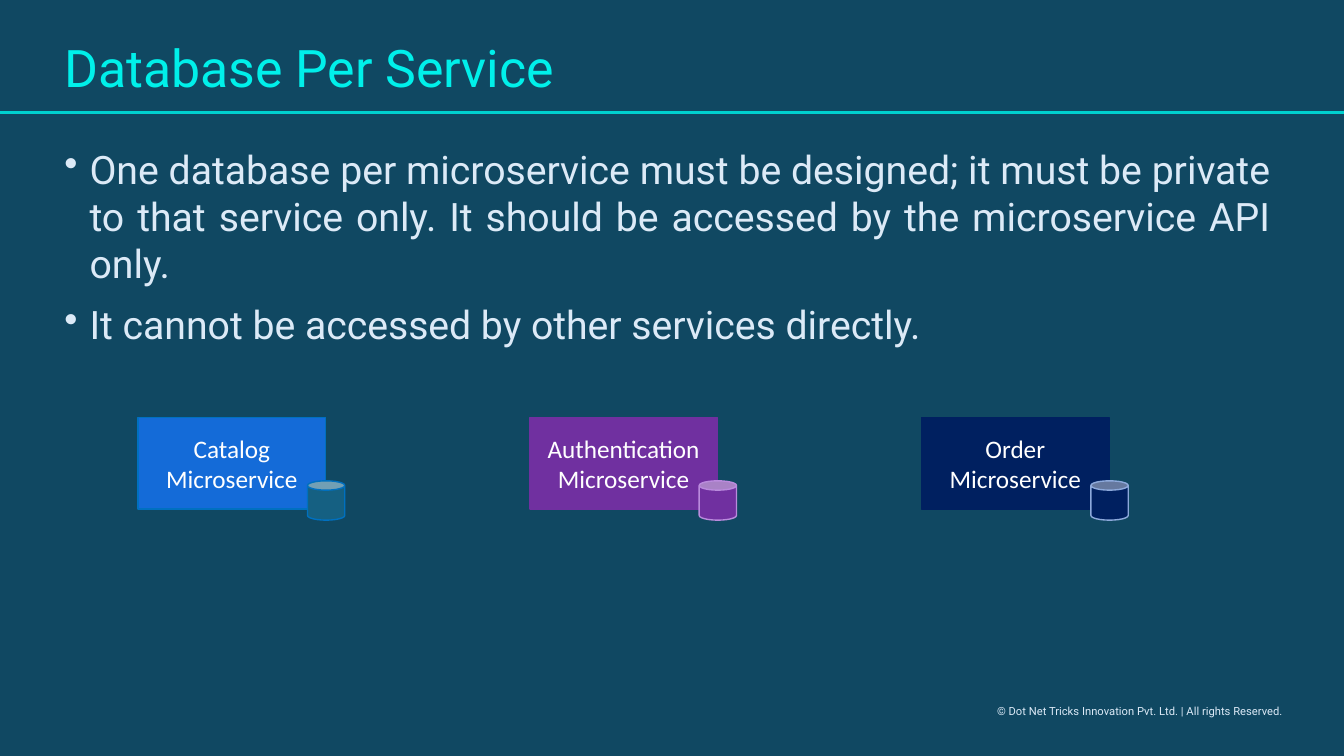
import pptx
import pptx.util
import pptx.dml.color
import pptx.enum.shapes
import pptx.enum.text
import pptx.oxml
import pptx.oxml.ns
import lxml.etree

Inches = pptx.util.Inches
Pt = pptx.util.Pt
Align = pptx.enum.text.PP_ALIGN
Shape = pptx.enum.shapes.MSO_SHAPE

COLORS = {
    "back": "104862", "title": "00F0EA", "rule": "00D1CF", "body": "DCEAF7",
    "white": "FFFFFF", "blue": "146BD8", "edge": "0070C0", "teal": "156082",
    "plum": "7030A0", "lilac": "BA8BDD", "navy": "002060", "sky": "8DA9DB",
}


class Deck:
    """Holds the style and the current slide, and draws each kind of element."""

    def __init__(self):
        self.file = pptx.Presentation()
        self.file.slide_width = Inches(13.33)
        self.file.slide_height = Inches(7.5)
        self.slide = self.file.slides.add_slide(self.file.slide_layouts[6])
        self.paint(self.slide.background.fill, "back")

    def color(self, name):
        return pptx.dml.color.RGBColor.from_string(COLORS[name])

    def paint(self, fill, name):
        fill.solid()
        fill.fore_color.rgb = self.color(name)

    def style(self, para, size, name, font="Roboto"):
        for run in para.runs:
            run.font.size = Pt(size)
            run.font.name = font
            run.font.color.rgb = self.color(name)

    def text(self, left, top, width, height, lines, size, name):
        box = self.slide.shapes.add_textbox(
            Inches(left), Inches(top), Inches(width), Inches(height))
        frame = box.text_frame
        frame.word_wrap = True
        frame.text = "\n".join(lines)
        for para in frame.paragraphs:
            self.style(para, size, name)
        return frame

    def bullets(self, frame, gap):
        for index, para in enumerate(frame.paragraphs):
            para.alignment = Align.JUSTIFY
            props = para._p.get_or_add_pPr()
            props.set("marL", str(Inches(0.25)))
            props.set("indent", str(-Inches(0.25)))
            mark = lxml.etree.SubElement(props, pptx.oxml.ns.qn("a:buChar"))
            mark.set("char", "•")
            if index:
                para.space_before = Pt(gap)

    def rule(self, top, name):
        line = self.slide.shapes.add_connector(
            pptx.enum.shapes.MSO_CONNECTOR.STRAIGHT,
            Inches(0), Inches(top), self.file.slide_width, Inches(top))
        line.line.color.rgb = self.color(name)
        line.line.width = Pt(2)
        lxml.etree.SubElement(line._element.spPr, pptx.oxml.ns.qn("a:effectLst"))

    def shape(self, group, kind, left, top, width, height, fill, edge):
        item = group.shapes.add_shape(
            kind, Inches(left), Inches(top), Inches(width), Inches(height))
        item.shadow.inherit = False
        self.paint(item.fill, fill)
        item.line.color.rgb = self.color(edge)
        item.line.width = Pt(1)
        return item

    def service(self, left, top, label, fill, edge, store, rim):
        group = self.slide.shapes.add_group_shape()
        box = self.shape(group, Shape.RECTANGLE, left, top, 1.86, 0.91, fill, edge)
        frame = box.text_frame
        frame.word_wrap = True
        frame.vertical_anchor = pptx.enum.text.MSO_ANCHOR.MIDDLE
        frame.text = label
        frame.paragraphs[0].alignment = Align.CENTER
        self.style(frame.paragraphs[0], 18, "white", "Calibri")
        self.shape(group, Shape.CAN, left + 1.68, top + 0.63, 0.37, 0.39, store, rim)


def main():
    deck = Deck()
    deck.text(9.79, 6.94, 3.05, 0.24,
              ["© Dot Net Tricks Innovation Pvt. Ltd. | All rights Reserved."], 8, "body")
    deck.rule(1.12, "rule")
    title = deck.text(0.54, 0.47, 12.16, 0.58, ["Database Per Service"], 37, "title")
    title.paragraphs[0].line_spacing = 0.7
    body = deck.text(0.54, 1.39, 12.16, 2.65, [
        "One database per microservice must be designed; it must be private to that "
        "service only. It should be accessed by the microservice API only.",
        "It cannot be accessed by other services directly.",
    ], 28, "body")
    deck.bullets(body, 10)
    services = [
        ("Catalog Microservice", "blue", "edge", "teal", "edge"),
        ("Authentication Microservice", "plum", "plum", "plum", "lilac"),
        ("Order Microservice", "navy", "navy", "navy", "sky"),
    ]
    for index, service in enumerate(services):
        deck.service(1.37 + 3.885 * index, 4.14, *service)
    deck.file.save("out.pptx")


if __name__ == "__main__":
    main()
